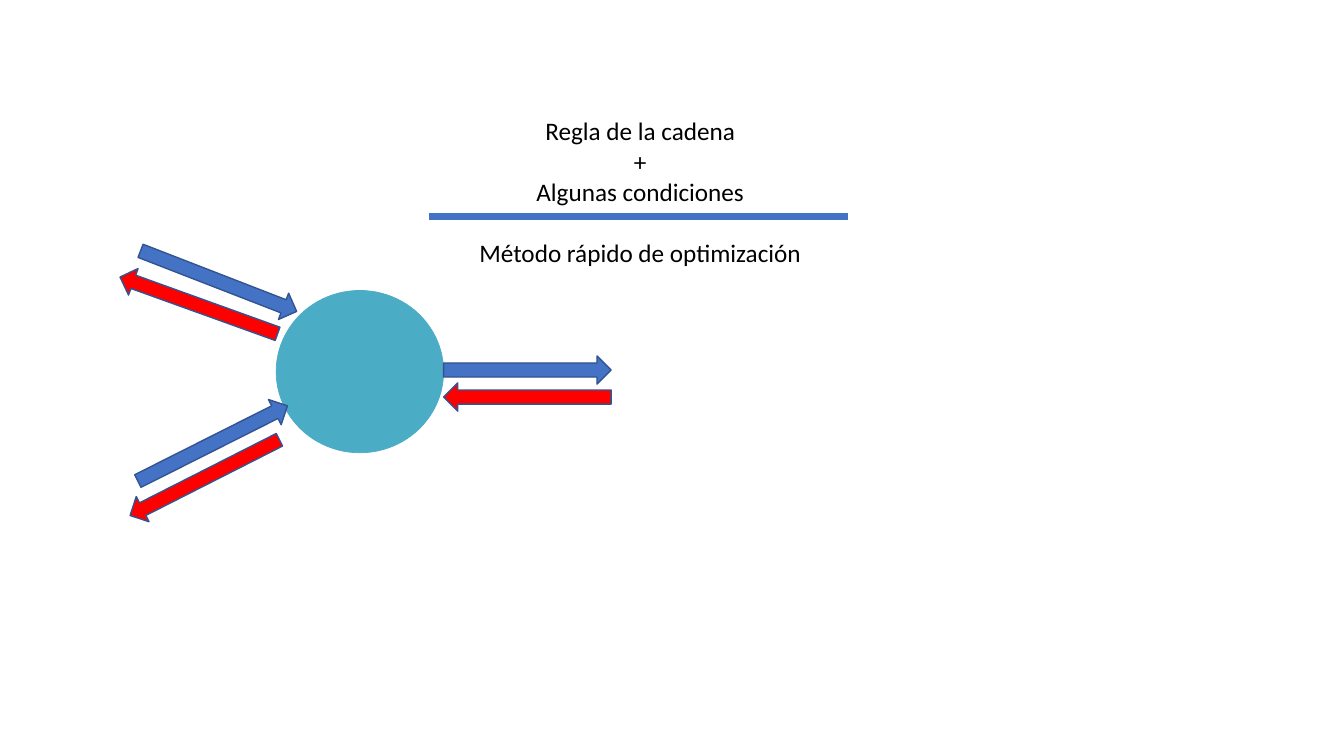
from dataclasses import dataclass

from pptx import Presentation
from pptx import util as u
from pptx.dml.color import RGBColor
from pptx.enum import shapes, text
from pptx.oxml import parse_xml
from pptx.oxml.ns import nsdecls


@dataclass(frozen=True)
class Theme:
    node: str = "4BACC6"
    forward: str = "4472C4"
    backward: str = "FF0000"
    outline: str = "325491"
    ink: str = "000000"
    font: str = "Calibri"
    size: int = 18


THEME = Theme()
ARROW_SIZE = (4.22, 0.71)

# Left, top (cm), rotation (degrees)
FORWARD_ARROWS = [(3.4, 6.73, 21.2), (3.25, 10.82, 333.3), (11.18, 8.97, 0)]
BACKWARD_ARROWS = [(2.9, 7.34, 199.8), (3.05, 11.68, 153.1), (11.18, 9.65, 180)]

# Text and space before (points)
STATEMENT = [
    ("Regla de la cadena", 0),
    ("+", 0),
    ("Algunas condiciones", 0),
    ("Método rápido de optimización", 22),
]


def add_solid(parent, kind, place, fill, line, weight):
    shape = parent.shapes.add_shape(kind, *(u.Cm(value) for value in place))
    shape.shadow.inherit = False
    shape.fill.solid()
    shape.fill.fore_color.rgb = RGBColor.from_string(fill)
    shape.line.color.rgb = RGBColor.from_string(line)
    shape.line.width = u.Pt(weight)
    return shape


def add_arrows(parent, arrows, fill):
    for left, top, rotation in arrows:
        arrow = add_solid(parent, shapes.MSO_SHAPE.RIGHT_ARROW,
                          (left, top, *ARROW_SIZE), fill, THEME.outline, 1)
        arrow.rotation = rotation


def add_neuron(page):
    group = page.shapes.add_group_shape()
    add_solid(group, shapes.MSO_SHAPE.OVAL, (6.96, 7.32, 4.22, 4.09),
              THEME.node, THEME.node, 0.5)
    add_arrows(group, FORWARD_ARROWS, THEME.forward)
    add_arrows(group, BACKWARD_ARROWS, THEME.backward)


def add_statement(page):
    box = page.shapes.add_textbox(u.Cm(11.51), u.Cm(2.79), u.Cm(9.25), u.Cm(4.11))
    frame = box.text_frame
    frame.word_wrap = False
    frame.auto_size = text.MSO_AUTO_SIZE.SHAPE_TO_FIT_TEXT
    frame.text = "\n".join(words for words, _ in STATEMENT)
    for para, (_, gap) in zip(frame.paragraphs, STATEMENT):
        para.alignment = text.PP_ALIGN.CENTER
        if gap:
            para.space_before = u.Pt(gap)
        for span in para.runs:
            span.font.name = THEME.font
            span.font.size = u.Pt(THEME.size)
            span.font.color.rgb = RGBColor.from_string(THEME.ink)


def add_rule(page):
    rule = page.shapes.add_connector(shapes.MSO_CONNECTOR.STRAIGHT,
                                     u.Cm(10.82), u.Cm(5.46), u.Cm(21.36), u.Cm(5.46))
    rule.line.color.rgb = RGBColor.from_string(THEME.forward)
    rule.line.width = u.Pt(5)
    # No shadow
    rule._element.spPr.append(parse_xml(f"<a:effectLst {nsdecls('a')}/>"))


def main():
    deck = Presentation()
    deck.slide_width, deck.slide_height = u.Cm(33.87), u.Cm(19.05)
    page = deck.slides.add_slide(deck.slide_layouts[6])

    # Neuron with forward and backward flow
    add_neuron(page)

    # Premises above the rule, conclusion below
    add_statement(page)
    add_rule(page)

    deck.save("out.pptx")


if __name__ == "__main__":
    main()
